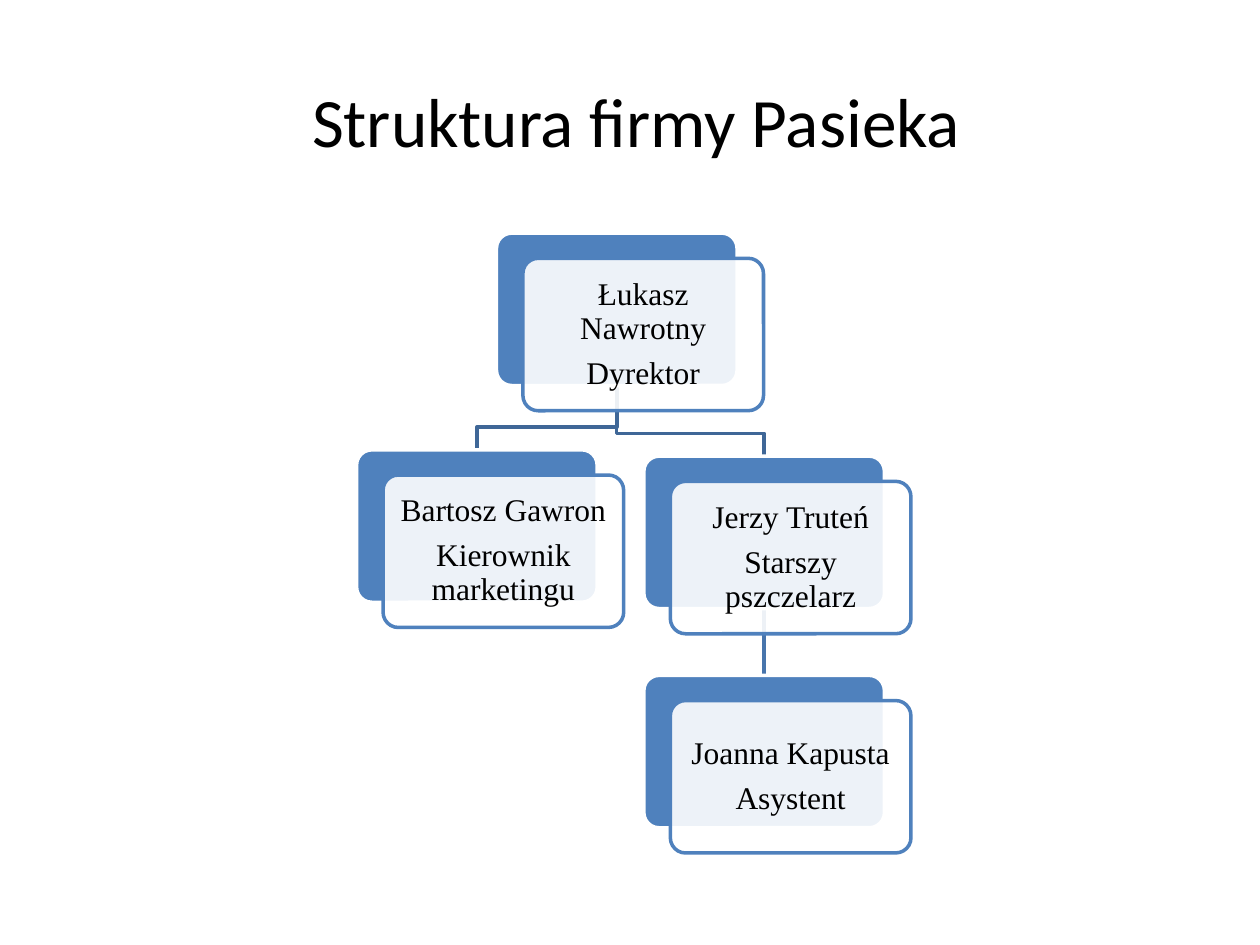
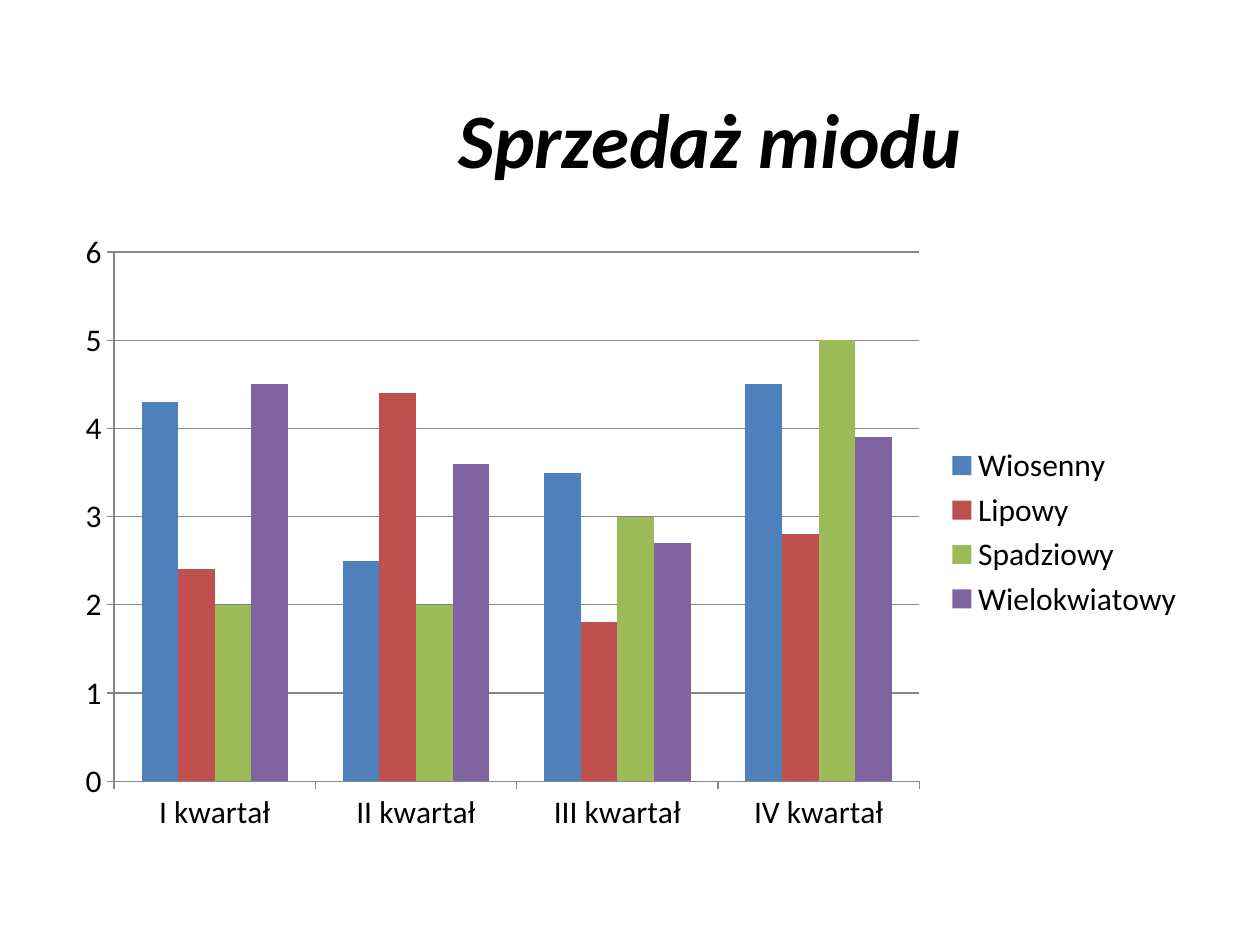
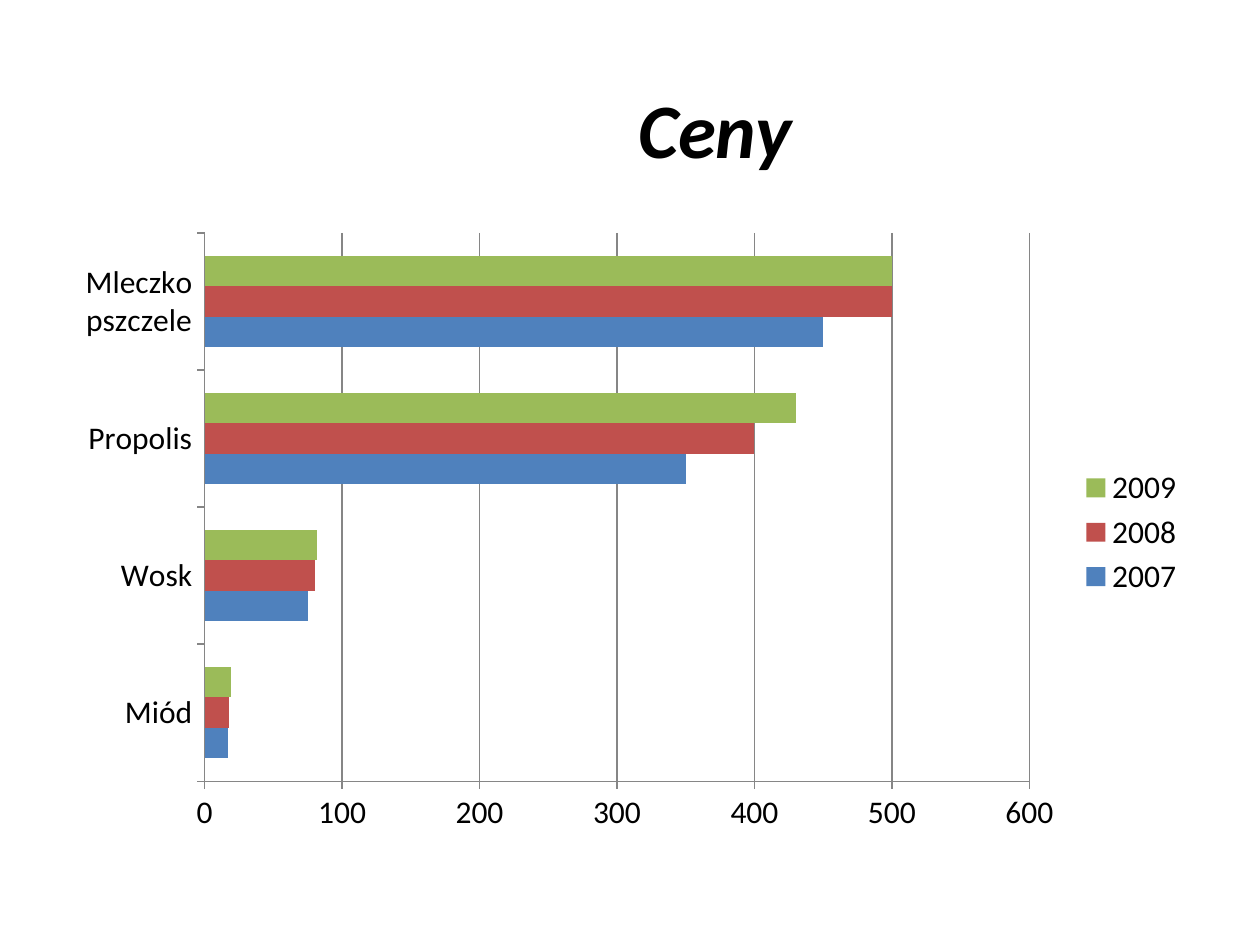
from lxml import etree
from pptx import Presentation
from pptx.chart.data import CategoryChartData
from pptx.dml.color import RGBColor
from pptx.enum.chart import XL_CHART_TYPE, XL_LEGEND_POSITION, XL_TICK_MARK
from pptx.enum.shapes import MSO_CONNECTOR, MSO_SHAPE
from pptx.enum.text import MSO_ANCHOR, PP_ALIGN
from pptx.oxml.ns import qn
from pptx.util import Inches, Pt

COLUMNS = XL_CHART_TYPE.COLUMN_CLUSTERED
BARS = XL_CHART_TYPE.BAR_CLUSTERED
OUTSIDE = XL_TICK_MARK.OUTSIDE
ROUNDED = MSO_SHAPE.ROUNDED_RECTANGLE
CENTER = PP_ALIGN.CENTER
MIDDLE, TOP = MSO_ANCHOR.MIDDLE, MSO_ANCHOR.TOP
BOTTOM_SITE, TOP_SITE = 2, 0

COLORS = {
    "text": "000000", "white": "FFFFFF", "grid": "868686",
    "blue": "4F81BD", "red": "C0504D", "green": "9BBB59", "purple": "8064A2",
    "branch": "3F6797", "twig": "4875AC",
}
SERIES_COLORS = ["blue", "red", "green", "purple"]
TITLE_FONT, BOX_FONT = "Calibri", "Times New Roman"
TITLE_ONLY = 5

SLIDE_WIDTH, SLIDE_HEIGHT = 10, 7.5
TITLE_HEIGHT = SLIDE_HEIGHT / 6
CHART_AREA = (SLIDE_WIDTH * 0.05, 1.75, SLIDE_WIDTH * 0.9, SLIDE_HEIGHT * 0.66)
BOX_WIDTH, BOX_HEIGHT = 1.91, 1.21
CARD_SHIFT = (0.21, 0.2)
BEND_GAP = 0.18


def color(name):
    return RGBColor.from_string(COLORS[name])


def style_font(font, name, size):
    font.name = name
    font.size = Pt(size)
    font.color.rgb = color("text")


def style_line(line, color_name, width=2):
    line.color.rgb = color(color_name)
    line.width = Pt(width)


def add_titled_slide(presentation, text, left, top, width, size=44,
                     emphasis=True, anchor=MIDDLE):
    slide = presentation.slides.add_slide(presentation.slide_layouts[TITLE_ONLY])
    title = slide.shapes.title
    title.left, title.top = Inches(left), Inches(top)
    title.width, title.height = Inches(width), Inches(TITLE_HEIGHT)
    frame = title.text_frame
    frame.word_wrap = True
    frame.vertical_anchor = anchor
    if anchor == TOP:
        frame.margin_top = 0
    paragraph = frame.paragraphs[0]
    paragraph.alignment = CENTER
    run = paragraph.add_run()
    run.text = text
    style_font(run.font, TITLE_FONT, size)
    run.font.bold = run.font.italic = emphasis
    return slide


def add_rounded_box(slide, left, top, fill_name, line_name):
    box = slide.shapes.add_shape(ROUNDED, Inches(left), Inches(top),
                                 Inches(BOX_WIDTH), Inches(BOX_HEIGHT))
    box.adjustments[0] = 0.1
    box.shadow.inherit = False
    box.fill.solid()
    box.fill.fore_color.rgb = color(fill_name)
    style_line(box.line, line_name)
    return box


def set_opacity(shape, percent):
    fill = shape._element.spPr.find(qn("a:solidFill"))
    etree.SubElement(fill[0], qn("a:alpha"), val=str(percent * 1000))


def add_person(slide, position, name, role):
    """Add a blue box with a translucent name card over it; return the blue box."""
    left, top = position
    backing = add_rounded_box(slide, left, top, "blue", "white")
    card = add_rounded_box(slide, left + CARD_SHIFT[0], top + CARD_SHIFT[1],
                           "white", "blue")
    set_opacity(card, 90)
    frame = card.text_frame
    frame.word_wrap = True
    frame.vertical_anchor = MIDDLE
    frame.margin_left = frame.margin_right = Inches(0.07)
    frame.margin_top = frame.margin_bottom = Inches(0.07)
    for index, text in enumerate((name, role)):
        paragraph = frame.add_paragraph() if index else frame.paragraphs[0]
        paragraph.alignment = CENTER
        paragraph.line_spacing = 0.9
        paragraph.space_after = Pt(6.3)
        run = paragraph.add_run()
        run.text = text
        style_font(run.font, BOX_FONT, 18)
    return backing


def add_branch(slide, parent, child):
    """Draw a stepped line from the parent's bottom to the child's top."""
    start_x = parent[0] + BOX_WIDTH / 2
    start_y = parent[1] + BOX_HEIGHT
    end_x, end_y = child[0] + BOX_WIDTH / 2, child[1]
    bend_y = end_y - BEND_GAP
    builder = slide.shapes.build_freeform(Inches(start_x), Inches(start_y))
    points = [(start_x, bend_y), (end_x, bend_y), (end_x, end_y)]
    builder.add_line_segments([(Inches(x), Inches(y)) for x, y in points],
                              close=False)
    branch = builder.convert_to_shape()
    branch.shadow.inherit = False
    branch.fill.background()
    style_line(branch.line, "branch")


def add_straight_link(slide):
    link = slide.shapes.add_connector(MSO_CONNECTOR.STRAIGHT, 0, 0, 0, 0)
    style_line(link.line, "twig")
    etree.SubElement(link._element.spPr, qn("a:effectLst"))
    return link


def add_structure(slide):
    director, marketing = (3.94, 1.85), (2.83, 3.57)
    beekeeper, assistant = (5.11, 3.62), (5.11, 5.36)
    link = add_straight_link(slide)
    for child in (beekeeper, marketing):
        add_branch(slide, director, child)
    add_person(slide, director, "Łukasz Nawrotny", "Dyrektor")
    add_person(slide, marketing, "Bartosz Gawron", "Kierownik marketingu")
    upper = add_person(slide, beekeeper, "Jerzy Truteń", "Starszy pszczelarz")
    lower = add_person(slide, assistant, "Joanna Kapusta", "Asystent")
    link.begin_connect(upper, BOTTOM_SITE)
    link.end_connect(lower, TOP_SITE)


def add_bar_chart(slide, chart_type, categories, series, maximum, step):
    data = CategoryChartData()
    data.categories = categories
    for name, values in series.items():
        data.add_series(name, values)
    area = [Inches(length) for length in CHART_AREA]
    chart = slide.shapes.add_chart(chart_type, *area, data).chart
    style_font(chart.font, TITLE_FONT, 18)
    chart.has_title = False
    chart.has_legend = True
    chart.legend.position = XL_LEGEND_POSITION.RIGHT
    chart.legend.include_in_layout = False

    plot = chart.plots[0]
    plot.gap_width = 150
    plot.overlap = 0
    plot.vary_by_categories = False
    for bars, color_name in zip(plot.series, SERIES_COLORS):
        bars.format.fill.solid()
        bars.format.fill.fore_color.rgb = color(color_name)
        bars.invert_if_negative = False

    for axis in (chart.category_axis, chart.value_axis):
        axis.major_tick_mark = OUTSIDE
        style_line(axis.format.line, "grid", 0.75)
    value_axis = chart.value_axis
    value_axis.minimum_scale, value_axis.maximum_scale = 0, maximum
    value_axis.major_unit = step
    value_axis.has_major_gridlines = True
    style_line(value_axis.major_gridlines.format.line, "grid", 0.75)


def main():
    presentation = Presentation()
    presentation.slide_width = Inches(SLIDE_WIDTH)
    presentation.slide_height = Inches(SLIDE_HEIGHT)

    structure = add_titled_slide(presentation, "Struktura firmy Pasieka",
                                 2.11, 0.62, 5.88, size=39.6,
                                 emphasis=False, anchor=TOP)
    add_structure(structure)

    sales = add_titled_slide(presentation, "Sprzedaż miodu", 2.5, 0.47, 6.27)
    quarters = [f"{number} kwartał" for number in ("I", "II", "III", "IV")]
    add_bar_chart(sales, COLUMNS, quarters, {
        "Wiosenny": (4.3, 2.5, 3.5, 4.5),
        "Lipowy": (2.4, 4.4, 1.8, 2.8),
        "Spadziowy": (2, 2, 3, 5),
        "Wielokwiatowy": (4.5, 3.6, 2.7, 3.9),
    }, maximum=6, step=1)

    prices = add_titled_slide(presentation, "Ceny", 2.58, 0.39, 6.19)
    products = ["Miód", "Wosk", "Propolis", "Mleczko pszczele"]
    add_bar_chart(prices, BARS, products, {
        "2007": (17, 75, 350, 450),
        "2008": (18, 80, 400, 500),
        "2009": (19, 82, 430, 500),
    }, maximum=600, step=100)

    presentation.save("out.pptx")


if __name__ == "__main__":
    main()
